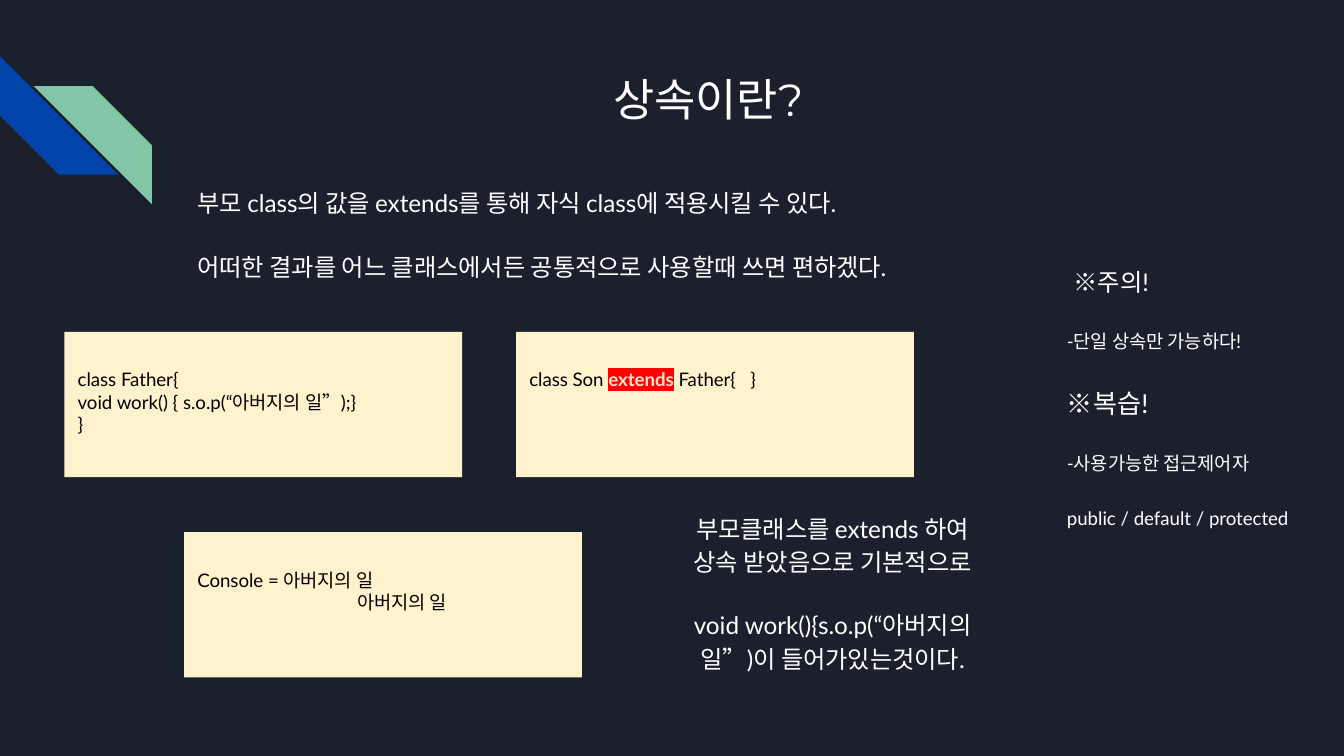
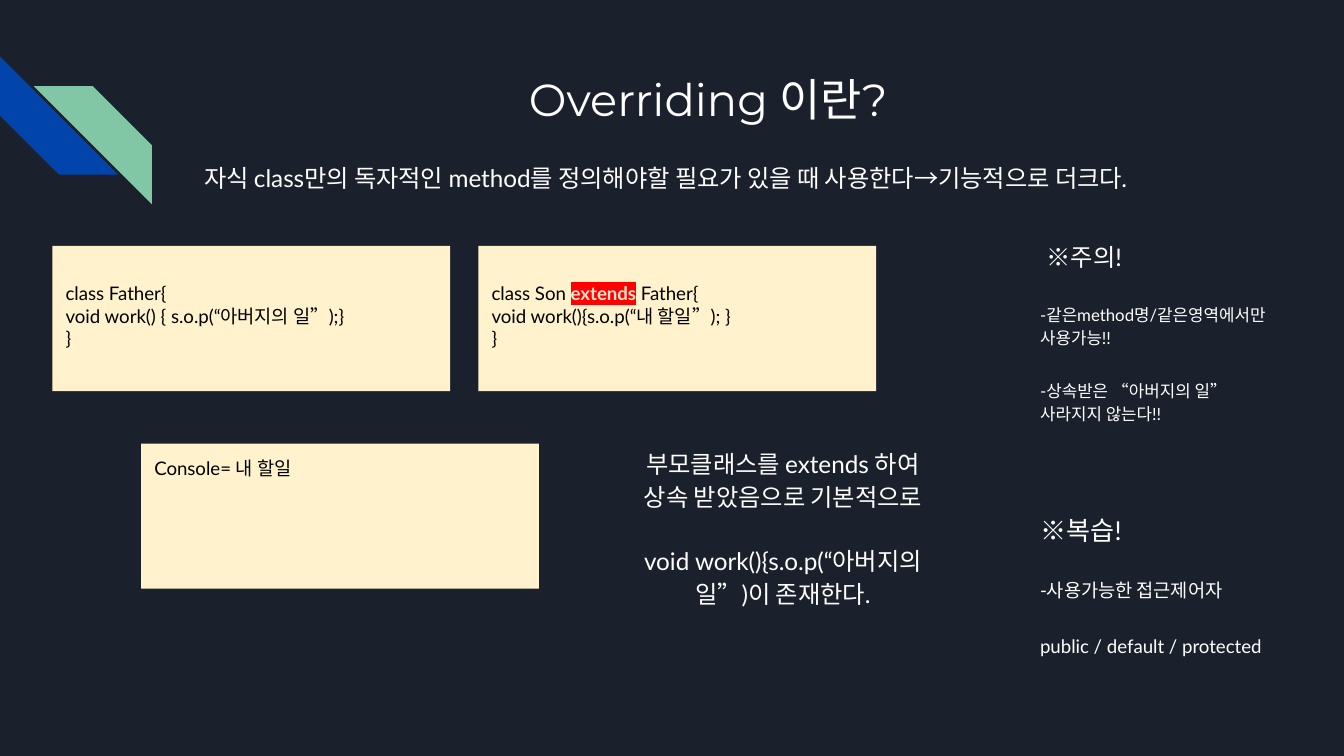
from dataclasses import dataclass

from lxml.etree import SubElement
from pptx import Presentation
from pptx.dml.color import RGBColor
from pptx.enum.shapes import MSO_SHAPE as Preset
from pptx.enum.text import MSO_ANCHOR as Anchor, PP_ALIGN as Align
from pptx.oxml.ns import qn
from pptx.util import Inches, Pt

COLS, ROWS = 100, 56.25
WIDTH, HEIGHT = Inches(10), Inches(5.625)
NAVY, WHITE, BLACK = "1B212C", "FFFFFF", "000000"
BLUE, MINT = "0145AC", "82C7A5"
CREAM, PEACH, RED = "FFF2CC", "FCE5CD", "FF0000"
TITLE_FONT, BODY_FONT = "Montserrat", "Lato"
TITLE_BOX = (14.2, 4.3, 77, 10)
STRIPES_BOX = (0, 4.2, 11.3, 11)
CARD_W, CARD_H = 29.6, 10.8
KEYWORD = "extends"


@dataclass
class Line:
    """One paragraph: its text, size, space before and left indent in inches."""
    text: str
    size: float = 13
    before: float = 0
    indent: float = 0


@dataclass
class Card:
    """A code card: its left column, top row, lines and top inset in inches."""
    left: float
    top: float
    lines: list
    inset: float = 0.27


def color(value):
    """Turn a hex string into a colour."""
    return RGBColor.from_string(value)


def place(box):
    """Turn a box in columns and rows into slide lengths."""
    left, top, width, height = box
    return (int(WIDTH * left / COLS), int(HEIGHT * top / ROWS),
            int(WIDTH * width / COLS), int(HEIGHT * height / ROWS))


def add_run(paragraph, text, size, ink, font=BODY_FONT, bold=False, highlight=None):
    """Add one formatted run."""
    run = paragraph.add_run()
    run.text = text
    run.font.size, run.font.name, run.font.bold = Pt(size), font, bold
    run.font.color.rgb = color(ink)
    if highlight:
        props = run.font.fill and run._r.get_or_add_rPr()
        marker = SubElement(props, qn("a:highlight"))
        SubElement(marker, qn("a:srgbClr")).set("val", highlight)
        props.find(qn("a:solidFill")).addnext(marker)


def set_frame(frame, top_inset=0.1):
    """Give a text frame the shared insets, wrapping and top anchor."""
    frame.word_wrap = True
    frame.vertical_anchor = Anchor.TOP
    frame.margin_left = frame.margin_right = frame.margin_bottom = Inches(0.1)
    frame.margin_top = Inches(top_inset)
    return frame


def add_lines(frame, lines, ink, align=Align.LEFT, spacing=1.0, marked=None):
    """Write the lines as paragraphs, marking the keyword where asked."""
    for index, line in enumerate(lines):
        paragraph = frame.paragraphs[0] if index == 0 else frame.add_paragraph()
        paragraph.alignment, paragraph.line_spacing = align, spacing
        paragraph.space_before = Pt(line.before)
        if line.indent:
            paragraph._p.get_or_add_pPr().set("marL", str(Inches(line.indent)))
        start, keyword, rest = line.text.partition(marked) if marked else (line.text, "", "")
        add_run(paragraph, start, line.size, ink)
        if keyword:
            add_run(paragraph, keyword, line.size, PEACH, bold=True, highlight=RED)
            add_run(paragraph, rest, line.size, ink)


def add_note(slide, box, lines, align=Align.LEFT):
    """Add white running text in a box."""
    frame = set_frame(slide.shapes.add_textbox(*place(box)).text_frame)
    add_lines(frame, lines, WHITE, align, 1.15)


def add_card(slide, card):
    """Add a cream card with code or console output."""
    panel = slide.shapes.add_shape(
        Preset.RECTANGLE, *place((card.left, card.top, CARD_W, CARD_H)))
    panel.shadow.inherit = False
    panel.fill.solid()
    panel.fill.fore_color.rgb = color(CREAM)
    panel.line.fill.background()
    add_lines(set_frame(panel.text_frame, card.inset), card.lines, BLACK, marked=KEYWORD)


def add_stripes(slide, box):
    """Add the pair of diagonal stripes at opposite corners of a box."""
    left, top, width, height = box
    side = 8.8
    pair = slide.shapes.add_group_shape()
    corners = ((left, top, 270, BLUE),
               (left + width - side, top + height - side, 90, MINT))
    for x, y, angle, tint in corners:
        stripe = pair.shapes.add_shape(Preset.DIAGONAL_STRIPE, *place((x, y, side, side)))
        stripe.rotation = angle
        stripe.shadow.inherit = False
        stripe.fill.solid()
        stripe.fill.fore_color.rgb = color(tint)
        stripe.line.fill.background()


def add_title(slide, box, text):
    """Move and format the title placeholder."""
    title = slide.shapes.title
    title.left, title.top, title.width, title.height = place(box)
    paragraph = set_frame(title.text_frame).paragraphs[0]
    paragraph.alignment = Align.CENTER
    add_run(paragraph, text, 24, WHITE, TITLE_FONT)


def add_concept(deck, title, lead_box, lead, cards, result_box, ending, aside_box, cautions,
                review_gap=16):
    """Build a slide that explains one concept with code cards and side notes."""
    slide = deck.slides.add_slide(deck.slide_layouts[5])
    add_stripes(slide, STRIPES_BOX)
    add_title(slide, TITLE_BOX, title)
    add_note(slide, lead_box, lead)
    for card in cards:
        add_card(slide, card)
    result = [Line("부모클래스를 extends 하여 상속 받았음으로 기본적으로"),
              Line(f"void work(){{s.o.p(“아버지의일”){ending}", before=16)]
    add_note(slide, result_box, result, Align.CENTER)
    review = [Line("※복습!", 14, review_gap),
              Line("-사용가능한 접근제어자", 10, 16),
              Line("public / default / protected", 10, 16)]
    add_note(slide, aside_box, [Line("※주의!", indent=0.05), *cautions, *review])


def code(*texts):
    """Make card lines from plain texts."""
    return [Line(text, 10) for text in texts]


def main():
    """Build the deck."""
    deck = Presentation()
    deck.slide_width, deck.slide_height = WIDTH, HEIGHT
    backdrop = deck.slide_master.background.fill
    backdrop.solid()
    backdrop.fore_color.rgb = color(NAVY)
    father = code("class Father{", "void work() { s.o.p(“아버지의 일”);}", "}")

    add_concept(
        deck, "상속이란?", (13.7, 12.7, 77, 31.8),
        [Line("부모 class의 값을 extends를 통해 자식 class에 적용시킬 수 있다."),
         Line("어떠한 결과를 어느 클래스에서든 공통적으로 사용할때 쓰면 편하겠다.", before=16)],
        [Card(4.8, 24.7, father),
         Card(38.4, 24.7, code("class Son extends Father{   }")),
         Card(13.7, 39.6, [Line("Console = 아버지의 일", 10),
                           Line("아버지의 일", 10, indent=1.19)])],
        (49, 36.9, 25.9, 15.5), "이 들어가있는것이다.",
        (78.4, 18.6, 19.8, 33.3), [Line("-단일 상속만 가능하다!", 10, 16)])

    add_concept(
        deck, "Overriding 이란?", (14.2, 10.8, 77, 31.8),
        [Line("자식 class만의 독자적인 method를 정의해야할 필요가 있을 때 사용한다→기능적으로 더크다.")],
        [Card(3.9, 18.3, father),
         Card(35.6, 18.3, code("class Son extends Father{",
                               "void work(){s.o.p(“내 할일”); }", "}")),
         Card(10.5, 33, code("Console= 내 할일"), 0.1)],
        (45.3, 32.1, 25.9, 17.6), "이 존재한다.",
        (76.4, 16.7, 19.8, 34.9),
        [Line("-같은method명/같은영역에서만 사용가능!!", 9, 16),
         Line("-상속받은 “아버지의 일” 사라지지 않는다!!", 9, 16)],
        review_gap=46)

    deck.save("out.pptx")


if __name__ == "__main__":
    main()
